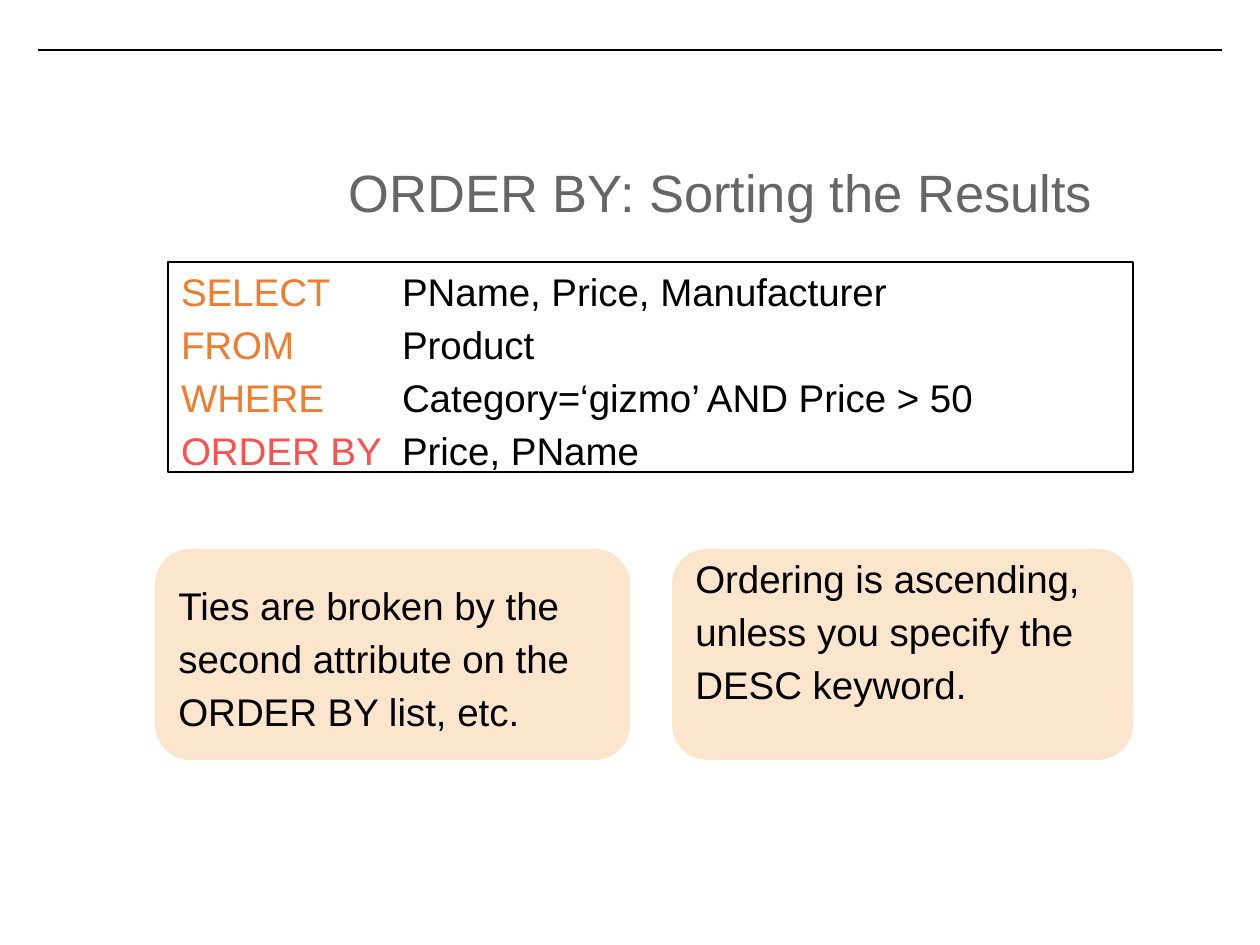
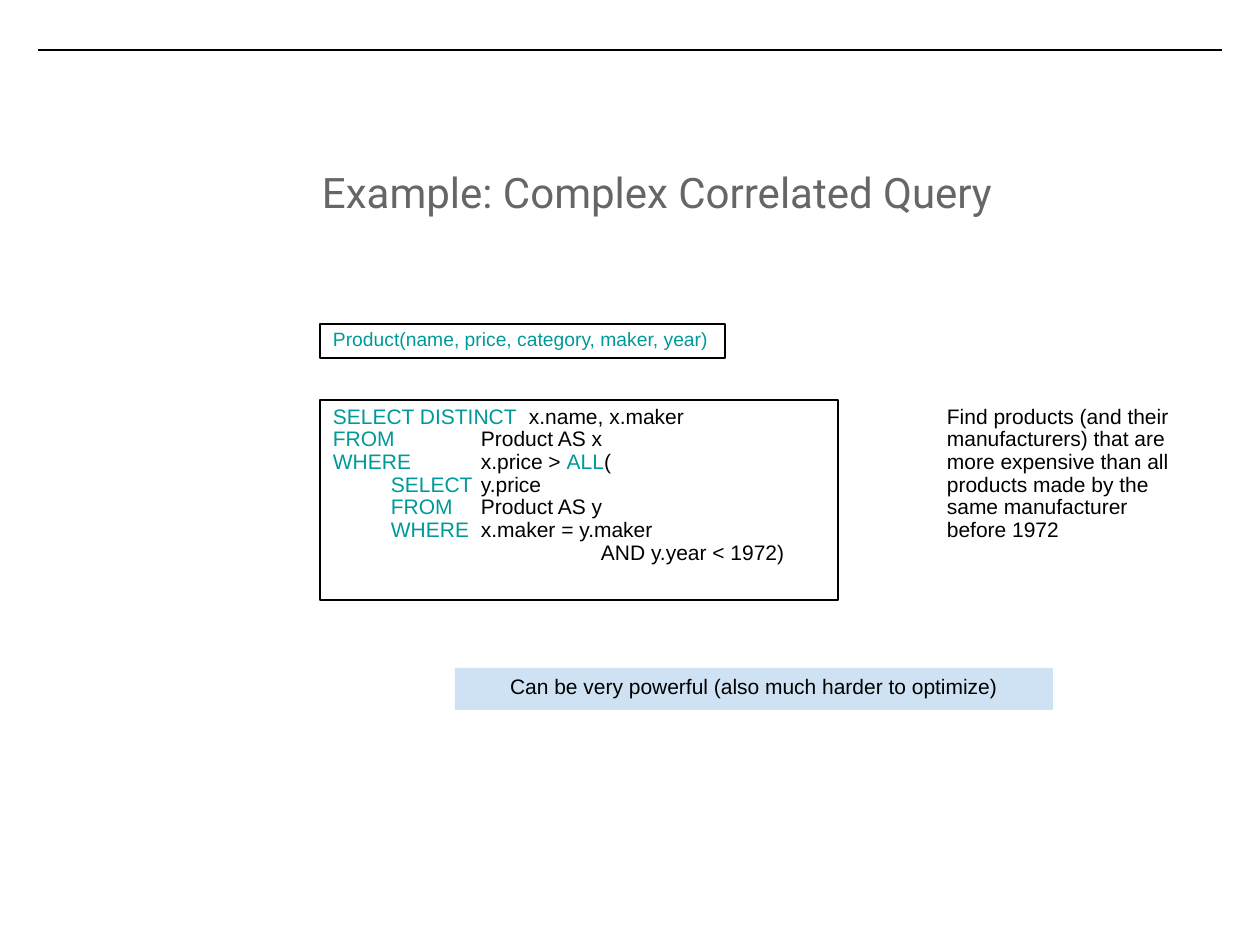
import pptx
import pptx.util
import pptx.dml.color
import pptx.enum.shapes
import pptx.enum.text
import pptx.oxml.ns
import lxml.etree
from dataclasses import dataclass

SHAPES = pptx.enum.shapes.MSO_SHAPE
ALIGN = pptx.enum.text.PP_ALIGN
ANCHOR = pptx.enum.text.MSO_ANCHOR
PX_PER_INCH = 126


@dataclass(frozen=True)
class Theme:
    font: str = "Arial"
    title_font: str = "Roboto"
    ink: str = "000000"
    title: str = "666666"
    white: str = "FFFFFF"
    orange: str = "ED7D31"
    red: str = "FF5050"
    teal: str = "009999"
    peach: str = "FCE5CD"
    pale_blue: str = "CFE2F3"
    large_title: int = 30
    small_title: int = 24
    large: int = 22
    body: int = 12
    small: int = 11
    line: float = 0.75


THEME = Theme()


def px(n):
    return pptx.util.Emu(round(n * 914400 / PX_PER_INCH))


def rgb(color):
    return pptx.dml.color.RGBColor.from_string(color)


# Text
def add_tab_stops(p, stops):
    tabs = lxml.etree.SubElement(p._p.get_or_add_pPr(), pptx.oxml.ns.qn("a:tabLst"))
    for stop in stops:
        tab = lxml.etree.SubElement(tabs, pptx.oxml.ns.qn("a:tab"))
        tab.set("pos", str(px(stop)))
        tab.set("algn", "l")


def write(sp, lines, size, font=THEME.font, spacing=1.0, align=ALIGN.LEFT,
          anchor=ANCHOR.TOP, insets=(13, 6, 13, 6)):
    """Each line is (runs, tab stops); each run is (text, colour)."""
    tf = sp.text_frame
    tf.word_wrap = True
    tf.vertical_anchor = anchor
    tf.margin_left, tf.margin_top, tf.margin_right, tf.margin_bottom = map(px, insets)
    for i, (runs, stops) in enumerate(lines):
        p = tf.paragraphs[0] if i == 0 else tf.add_paragraph()
        if stops:
            add_tab_stops(p, stops)
        p.alignment = align
        p.line_spacing = spacing
        for text, color in runs:
            r = p.add_run()
            r.text = text
            r.font.name = font
            r.font.size = pptx.util.Pt(size)
            r.font.color.rgb = rgb(color)


def plain(text, color=THEME.ink):
    return [([(text, color)], ())]


def clause(keyword, rest, stops, color=THEME.teal):
    return [(keyword, color), ("\t" + rest, THEME.ink)], stops


# Elements
def add_box(s, at, kind=SHAPES.RECTANGLE, fill=None, line=None):
    sp = s.shapes.add_shape(kind, *map(px, at))
    sp.shadow.inherit = False
    if fill:
        sp.fill.solid()
        sp.fill.fore_color.rgb = rgb(fill)
    else:
        sp.fill.background()
    if line:
        sp.line.color.rgb = rgb(line)
        sp.line.width = pptx.util.Pt(THEME.line)
    else:
        sp.line.fill.background()
    return sp


def add_text(s, at, lines, size, **style):
    write(s.shapes.add_textbox(*map(px, at)), lines, size, **style)


def add_callout(s, at, text, bottom=13):
    sp = add_box(s, at, SHAPES.ROUNDED_RECTANGLE, THEME.peach)
    sp.adjustments[0] = 0.167
    write(sp, plain(text), THEME.large, spacing=1.15, anchor=ANCHOR.MIDDLE,
          insets=(13, 13, 13, bottom))


def add_slide(prs, title, at, size, font):
    s = prs.slides.add_slide(prs.slide_layouts[6])
    rule = s.shapes.add_connector(pptx.enum.shapes.MSO_CONNECTOR.STRAIGHT,
                                  px(38), px(50), px(1222), px(50))
    rule.line.color.rgb = rgb(THEME.ink)
    rule.line.width = pptx.util.Pt(THEME.line)
    lxml.etree.SubElement(rule._element.spPr, pptx.oxml.ns.qn("a:effectLst"))
    add_text(s, at, plain(title, THEME.title), size, font=font, insets=(13,) * 4)
    return s


# Slides
def order_by_slide(prs):
    s = add_slide(prs, "ORDER BY: Sorting the Results", (336, 147, 878, 160),
                  THEME.large_title, THEME.font)
    query = add_box(s, (168, 262, 965, 210), line=THEME.ink)
    clauses = [
        ("SELECT", "PName, Price, Manufacturer", THEME.orange),
        ("FROM", "Product", THEME.orange),
        ("WHERE", "Category=‘gizmo’ AND Price > 50", THEME.orange),
        ("ORDER BY", "Price, PName", THEME.red),
    ]
    write(query, [clause(key, rest, (221,), color) for key, rest, color in clauses],
          THEME.large, spacing=1.15, anchor=ANCHOR.MIDDLE, insets=(13,) * 4)
    add_callout(s, (155, 549, 475, 211),
                "Ties are broken by the second attribute on the ORDER BY list, etc.")
    add_callout(s, (672, 549, 461, 211),
                "Ordering is ascending, unless you specify the DESC keyword.", bottom=66)


def correlated_query_slide(prs):
    s = add_slide(prs, "Example: Complex Correlated Query", (309, 154, 911, 100),
                  THEME.small_title, THEME.title_font)

    # Query, with the subquery indented by its first tab stop
    outer, inner = (148,), (58, 148)
    where_runs, where_stops = clause("WHERE", "x.price > ", outer)
    query = [
        clause("SELECT DISTINCT", "x.name, x.maker", (196,)),
        clause("FROM", "Product AS x", outer),
        (where_runs + [("ALL", THEME.teal), ("(", THEME.ink)], where_stops),
        clause("\tSELECT", "y.price", inner),
        clause("\tFROM", "Product AS y", inner),
        clause("\tWHERE", "x.maker = y.maker", inner),
        ([("\tAND y.year < 1972)", THEME.ink)], (268,)),
    ]
    write(add_box(s, (320, 400, 518, 200), fill=THEME.white, line=THEME.ink),
          query, THEME.body, spacing=0.9)

    # Explanation and schema
    add_text(s, (934, 400, 265, 205),
             plain("Find products (and their manufacturers) that are more expensive "
                   "than all products made by the same manufacturer before 1972"),
             THEME.body, spacing=0.9)
    write(add_box(s, (320, 324, 405, 34), fill=THEME.white, line=THEME.ink),
          plain("Product(name, price, category, maker, year)", THEME.teal),
          THEME.small, spacing=0.9)

    # Takeaway
    write(add_box(s, (455, 668, 598, 42), fill=THEME.pale_blue),
          plain("Can be very powerful (also much harder to optimize)"),
          THEME.body, align=ALIGN.CENTER)


def main():
    prs = pptx.Presentation()
    prs.slide_width, prs.slide_height = px(1260), px(945)
    order_by_slide(prs)
    correlated_query_slide(prs)
    prs.save("out.pptx")


if __name__ == "__main__":
    main()
